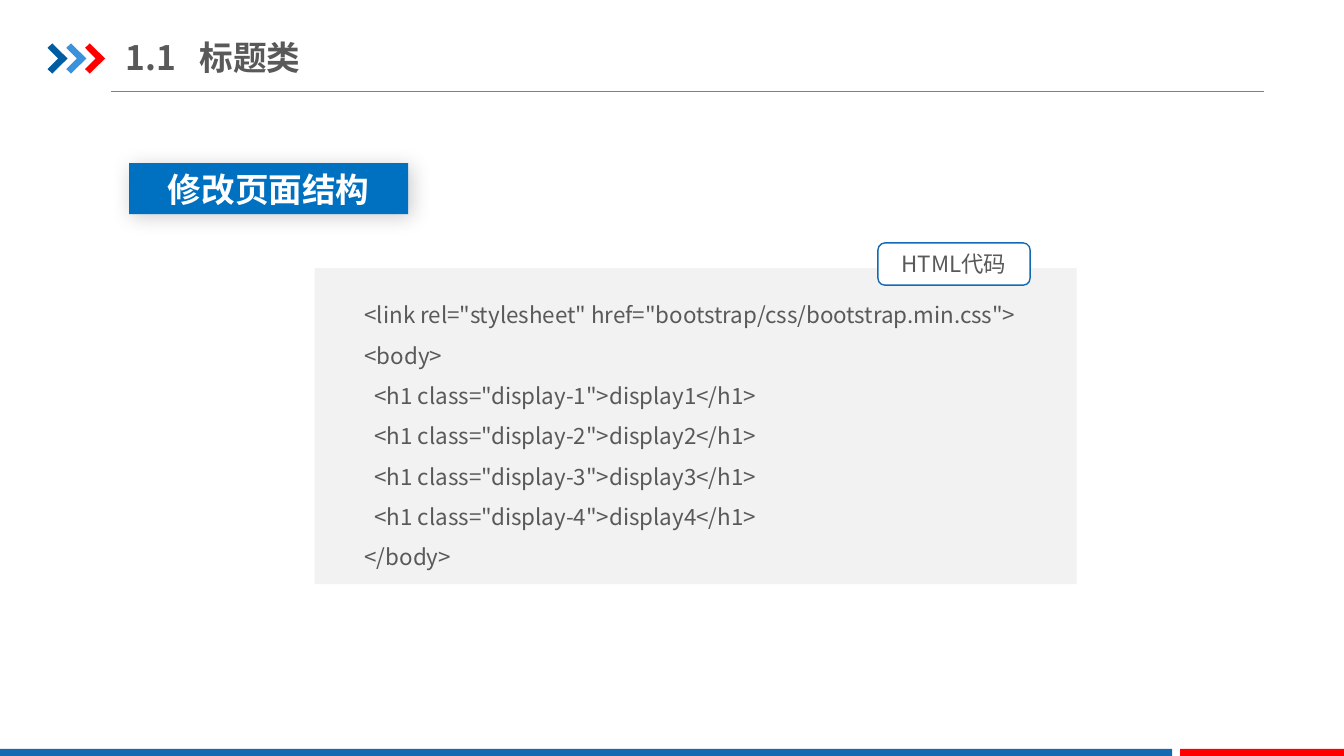
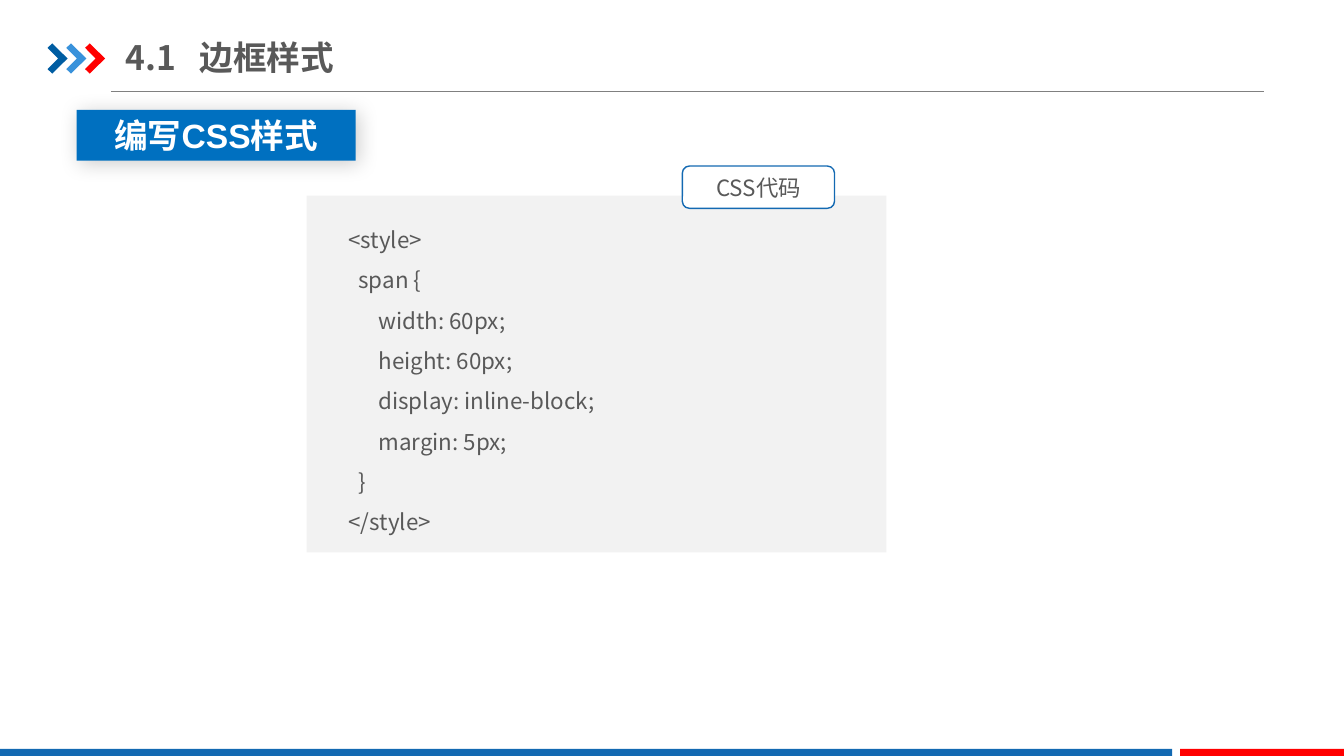
from lxml.etree import SubElement
from pptx import Presentation
from pptx.dml.color import RGBColor
from pptx.enum.shapes import MSO_CONNECTOR, MSO_SHAPE
from pptx.enum.text import MSO_ANCHOR, PP_ALIGN
from pptx.oxml.ns import qn
from pptx.util import Pt

CJK = "Noto Sans CJK SC"
BLUE, RED, GREY, WHITE = "1369B2", "FF0000", "595959", "FFFFFF"

SLIDES = [
    {
        "title": ("1.1", "标题类"),
        "banner": ("修改页面结构", 92.2, 116.6),
        "label": ("HTML代码", 627.1, 173.5),
        "panel": (224.8, 191.5, 544.3, 225.8),
        "code_box": (253.4, 202.3, 513.4, 211),
        "code": [
            '<link rel="stylesheet" href="bootstrap/css/bootstrap.min.css">',
            "<body>",
            '  <h1 class="display-1">display1</h1>',
            '  <h1 class="display-2">display2</h1>',
            '  <h1 class="display-3">display3</h1>',
            '  <h1 class="display-4">display4</h1>',
            "</body>",
        ],
    },
    {
        "title": ("4.1", "边框样式"),
        "banner": ("编写CSS样式", 54.7, 78.5),
        "label": ("CSS代码", 487.4, 118.6),
        "panel": (219.1, 139.7, 414, 254.9),
        "code_box": (241.9, 148.5, 357.1, 239.8),
        "code": [
            "<style>",
            "  span {",
            "      width: 60px;",
            "      height: 60px;",
            "      display: inline-block;",
            "      margin: 5px;",
            "  }",
            "</style>",
        ],
    },
]

CHEVRON = [(0, 3.2), (3.4, 0), (14.3, 10.8), (3.4, 21.6), (0, 18.4), (7.6, 10.8)]
CHEVRON_COLORS = ["005DA2", "3992DB", RED]
CHEVRON_LEFT, CHEVRON_TOP, CHEVRON_STEP = 34, 31, 13.4
FOOTER_BARS = [(0, 837.2, BLUE), (843, 117, RED)]


def color(value):
    return RGBColor.from_string(value)


def paint(shape, fill, line=None):
    shape.shadow.inherit = False
    shape.fill.solid()
    shape.fill.fore_color.rgb = color(fill)
    if line:
        shape.line.color.rgb = color(line)
        shape.line.width = Pt(1)
    else:
        shape.line.fill.background()


def add_box(page, kind, frame, fill, line=None):
    box = page.shapes.add_shape(kind, *map(Pt, frame))
    paint(box, fill, line)
    return box


def style(para, size, ink, bold=False, font=CJK):
    para.font.size = Pt(size)
    para.font.bold = bold
    para.font.color.rgb = color(ink)
    para.font.name = font
    SubElement(para._p.pPr.find(qn("a:defRPr")), qn("a:ea"), typeface=CJK)


def add_text_box(page, frame):
    box = page.shapes.add_textbox(*map(Pt, frame))
    box.text_frame.word_wrap = True
    return box.text_frame


def add_chrome(page, title):
    rule = page.shapes.add_connector(
        MSO_CONNECTOR.STRAIGHT, Pt(79.2), Pt(65.4), Pt(903), Pt(65.4))
    rule.line.color.rgb = color("808080")
    rule.line.width = Pt(0.75)
    SubElement(rule._element.spPr, qn("a:effectLst"))

    for index, fill in enumerate(CHEVRON_COLORS):
        left = CHEVRON_LEFT + index * CHEVRON_STEP
        points = [(Pt(left + x), Pt(CHEVRON_TOP + y)) for x, y in CHEVRON]
        outline = page.shapes.build_freeform(*points[0])
        outline.add_line_segments(points[1:], close=True)
        paint(outline.convert_to_shape(), fill)

    for left, width, fill in FOOTER_BARS:
        add_box(page, MSO_SHAPE.RECTANGLE, (left, 535, width, 5), fill)

    frame = add_text_box(page, (90, 20.9, 306.7, 39.6))
    frame.margin_left = frame.margin_right = 0
    frame.margin_top = frame.margin_bottom = Pt(5)
    frame.vertical_anchor = MSO_ANCHOR.MIDDLE
    para = frame.paragraphs[0]
    para.text = "\t".join(title)
    tabs = SubElement(para._p.get_or_add_pPr(), qn("a:tabLst"))
    SubElement(tabs, qn("a:tab"), pos=str(Pt(52.5)), algn="l")
    style(para, 24, GREY, bold=True)


def add_code(page, panel, code_box, lines):
    add_box(page, MSO_SHAPE.RECTANGLE, panel, "F2F2F2")
    frame = add_text_box(page, code_box)
    for index, line in enumerate(lines):
        para = frame.add_paragraph() if index else frame.paragraphs[0]
        para.text = line
        para.line_spacing = 1.5
        style(para, 16, GREY)


def center_text(box, text, *args, **options):
    box.text_frame.vertical_anchor = MSO_ANCHOR.MIDDLE
    para = box.text_frame.paragraphs[0]
    para.text = text
    para.alignment = PP_ALIGN.CENTER
    style(para, *args, **options)


def add_label(page, text, left, top):
    label = add_box(page, MSO_SHAPE.ROUNDED_RECTANGLE, (left, top, 108.7, 30.2), WHITE, BLUE)
    center_text(label, text, 16, GREY)


def add_banner(page, text, left, top):
    banner = add_box(page, MSO_SHAPE.RECTANGLE, (left, top, 199.4, 36.3), "0070C0")
    effects = banner._element.spPr.find(qn("a:effectLst"))
    shadow = SubElement(effects, qn("a:outerShdw"), blurRad=str(Pt(15)), dist=str(Pt(3)),
                        dir="2700000", algn="tl", rotWithShape="0")
    tint = SubElement(shadow, qn("a:srgbClr"), val="000000")
    SubElement(tint, qn("a:alpha"), val="20000")
    center_text(banner, text, 24, WHITE, bold=True, font="Arial")


def main():
    deck = Presentation()
    deck.slide_width, deck.slide_height = Pt(960), Pt(540)
    for content in SLIDES:
        page = deck.slides.add_slide(deck.slide_layouts[6])
        add_chrome(page, content["title"])
        add_code(page, content["panel"], content["code_box"], content["code"])
        add_label(page, *content["label"])
        add_banner(page, *content["banner"])
    deck.save("out.pptx")


if __name__ == "__main__":
    main()
